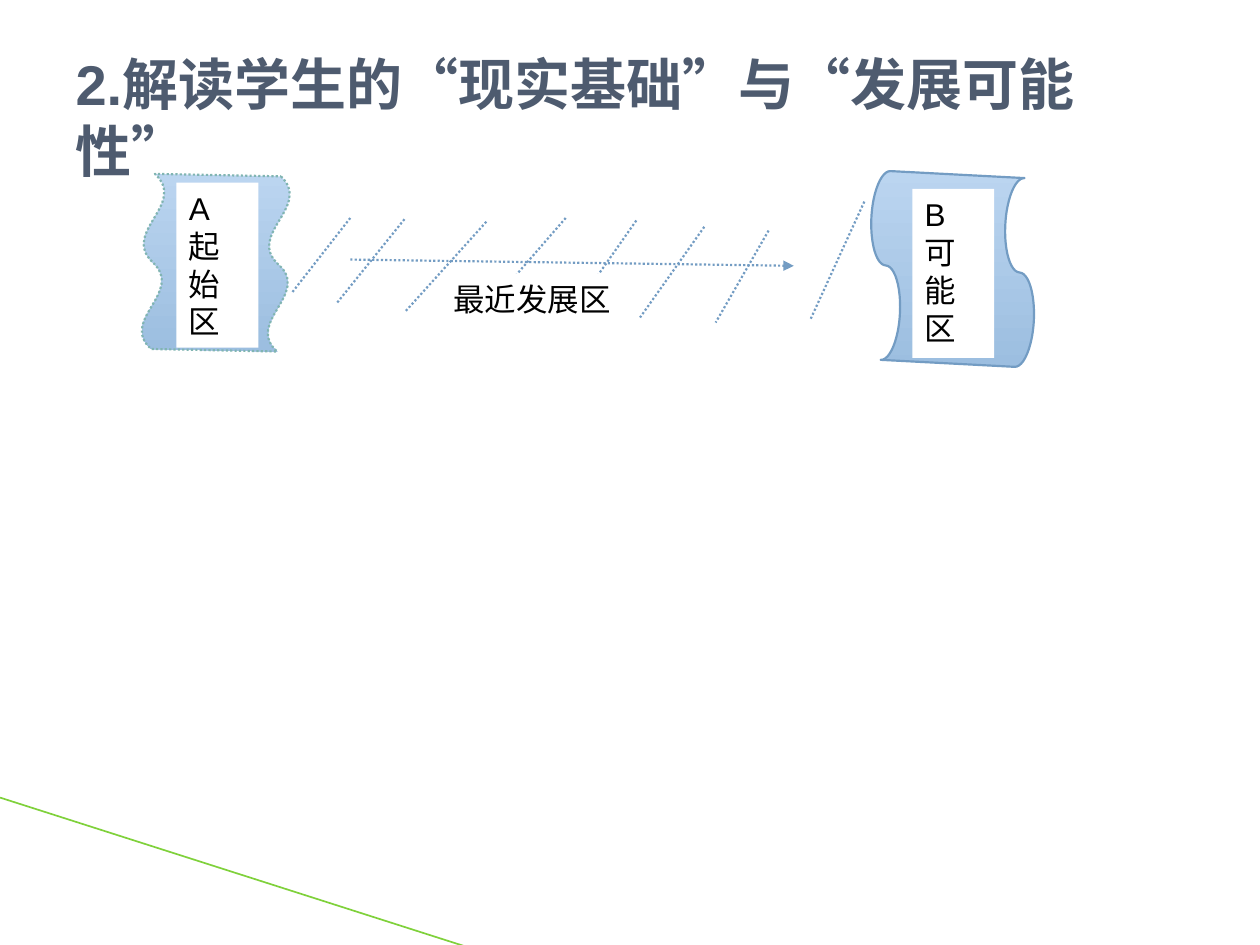
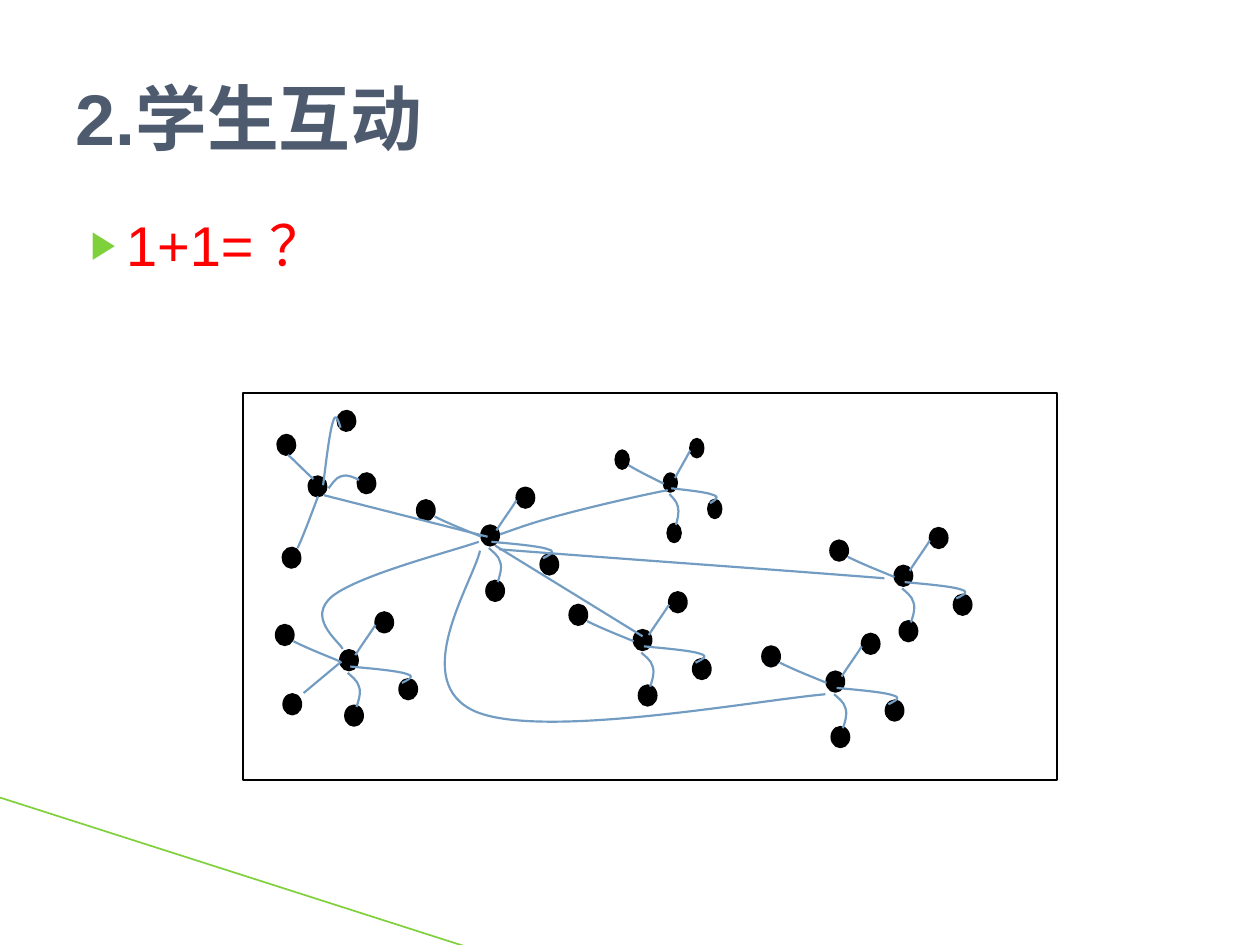
import math
from dataclasses import dataclass

from lxml import etree
from pptx import Presentation
from pptx import util as u
from pptx.dml.color import RGBColor
from pptx.enum import dml, shapes, text
from pptx.oxml.ns import qn

PX = 9144  # EMU in one px, 100 px to the inch


@dataclass(frozen=True)
class Theme:
    font: str = "Arial"
    title: str = "4E5B6F"
    ink: str = "000000"
    paper: str = "FFFFFF"
    accent: str = "7FD13B"
    stroke: str = "739CC3"
    wave_edge: str = "81B5B2"
    answer: str = "FF0000"
    tape: tuple = ("BBD5F0", "9CBEE0")
    body_size: int = 32
    label_size: int = 18
    thin: float = 0.75
    band: float = 0.96
    thick: float = 1.25


def emu(*lengths):
    return [round(length * PX) for length in lengths]


def trace(points, steps=24):
    """Sample chained cubic Béziers: a start, then two handles and an end each."""
    traced = [points[0]]
    for i in range(0, len(points) - 1, 3):
        for step in range(1, steps + 1):
            t = step / steps
            weights = ((1 - t) ** 3, 3 * t * (1 - t) ** 2, 3 * t * t * (1 - t), t ** 3)
            traced.append(tuple(sum(w * p[axis] for w, p in zip(weights, points[i:i + 4]))
                                for axis in (0, 1)))
    return traced


class Deck:
    def __init__(self, theme):
        self.theme = theme
        self.prs = Presentation()
        self.prs.slide_width, self.prs.slide_height = emu(1000, 750)
        self.slide = None

    def new_slide(self, layout, title, size):
        self.slide = self.prs.slides.add_slide(self.prs.slide_layouts[layout])
        heading = self.slide.shapes.title
        self.place(heading, 50, 30, 900, 125)
        frame = heading.text_frame
        frame.auto_size = text.MSO_AUTO_SIZE.NONE
        frame.vertical_anchor = text.MSO_ANCHOR.MIDDLE
        frame.paragraphs[0].alignment = text.PP_ALIGN.LEFT
        self.run(frame.paragraphs[0], title, size, self.theme.title, True)

    def master_band(self):
        """Draw the green line and move it to the master that all slides share."""
        band = self.line((0, 633), (372, 752), self.theme.accent, self.theme.band)
        self.prs.slide_master.shapes._spTree.append(band._element)

    def place(self, shape, *box):
        shape.left, shape.top, shape.width, shape.height = emu(*box)

    def run(self, paragraph, words, size, color, bold=False):
        run = paragraph.add_run()
        run.text = words
        run.font.name = self.theme.font
        run.font.size = u.Pt(size)
        run.font.bold = bold
        run.font.color.rgb = RGBColor.from_string(color)

    def bullet(self, words):
        body = self.slide.placeholders[1]
        self.place(body, 50, 162, 900, 495)
        body.text_frame.auto_size = text.MSO_AUTO_SIZE.NONE
        paragraph = body.text_frame.paragraphs[0]
        paragraph.space_before = u.Pt(0)
        props = paragraph._p.get_or_add_pPr()
        props.set("marL", str(40 * PX))
        props.set("indent", str(-28 * PX))
        color = etree.SubElement(props, qn("a:buClr"))
        etree.SubElement(color, qn("a:srgbClr"), val=self.theme.accent)
        etree.SubElement(props, qn("a:buSzPct"), val="68000")
        etree.SubElement(props, qn("a:buFont"), typeface=self.theme.font)
        etree.SubElement(props, qn("a:buChar"), char="▶")
        self.run(paragraph, words, self.theme.body_size, self.theme.answer)

    def outline(self, shape, color, width, dotted=False):
        shape.line.color.rgb = RGBColor.from_string(color)
        shape.line.width = u.Pt(width)
        if dotted:
            shape.line.dash_style = dml.MSO_LINE.ROUND_DOT

    def shape(self, kind, box, fill=None, edge=None, width=0):
        shape = self.slide.shapes.add_shape(kind, *emu(*box))
        shape.shadow.inherit = False
        if fill:
            shape.fill.solid()
            shape.fill.fore_color.rgb = RGBColor.from_string(fill)
        if edge:
            self.outline(shape, edge, width)
        else:
            shape.line.fill.background()
        return shape

    def shade(self, shape):
        """Fill from light at the top to dark, whatever the rotation."""
        shape.fill.gradient()
        shape.fill.gradient_angle = 270
        for stop, color in zip(shape.fill.gradient_stops, self.theme.tape):
            stop.color.rgb = RGBColor.from_string(color)
        shape._element.spPr.find(qn("a:gradFill")).set("rotWithShape", "0")

    def label(self, box, *lines):
        frame = self.shape(shapes.MSO_SHAPE.RECTANGLE, box, self.theme.paper).text_frame
        frame.word_wrap = True
        frame.vertical_anchor = text.MSO_ANCHOR.TOP
        for i, words in enumerate(lines):
            paragraph = frame.add_paragraph() if i else frame.paragraphs[0]
            paragraph.alignment = text.PP_ALIGN.LEFT
            self.run(paragraph, words, self.theme.label_size, self.theme.ink)

    def line(self, start, end, color=None, width=None, dotted=False, arrow=False):
        line = self.slide.shapes.add_connector(
            shapes.MSO_CONNECTOR.STRAIGHT, *emu(*start, *end))
        self.outline(line, color or self.theme.stroke, width or self.theme.thick, dotted)
        if arrow:
            etree.SubElement(line.line._get_or_add_ln(), qn("a:tailEnd"), type="triangle")
        etree.SubElement(line._element.spPr, qn("a:effectLst"))
        return line

    def freeform(self, *chains):
        """Draw chained Béziers; several chains are joined and closed."""
        closed = len(chains) > 1
        ends = [emu(*point) for chain in chains for point in chain[::3]]
        builder = self.slide.shapes.build_freeform(*ends[0])
        builder.add_line_segments(ends[1:], close=closed)
        shape = builder.convert_to_shape()
        shape.shadow.inherit = False

        xs, ys = zip(*(point for chain in chains for point in trace(chain)))
        left, top = min(xs), min(ys)
        width, height = max(xs) - left, max(ys) - top
        self.place(shape, left, top, width, height)
        outline = next(shape._element.iter(qn("a:path")))
        for key, length in zip("wh", emu(width, height)):
            outline.set(key, str(length))
        segments = outline.findall(qn("a:lnTo"))
        for chain in chains:
            for i in range(1, len(chain), 3):
                bend = etree.Element(qn("a:cubicBezTo"))
                for x, y in chain[i:i + 3]:
                    dx, dy = emu(x - left, y - top)
                    etree.SubElement(bend, qn("a:pt"), x=str(dx), y=str(dy))
                outline.replace(segments.pop(0), bend)
            segments = segments[1:]
        self.move_points(outline, ends, emu(left, top))
        return shape

    def move_points(self, outline, ends, origin):
        """Set the start and the straight joins from the outline's own corner."""
        points = {tag: outline.findall(qn(tag) + "/" + qn("a:pt"))
                  for tag in ("a:moveTo", "a:lnTo")}
        for point, end in zip(points["a:moveTo"] + points["a:lnTo"],
                              (ends[0], ends[len(ends) // 2])):
            for key, value, corner in zip("xy", end, origin):
                point.set(key, str(value - corner))

    def curve(self, points):
        if len(points) == 2:
            self.line(*points)
            return
        shape = self.freeform(points)
        shape.fill.background()
        self.outline(shape, self.theme.stroke, self.theme.thick)

    def dot(self, center, width=14, height=16, turn=0):
        box = (center[0] - width / 2, center[1] - height / 2, width, height)
        dot = self.shape(shapes.MSO_SHAPE.FLOWCHART_CONNECTOR, box,
                         self.theme.ink, self.theme.ink, self.theme.thick)
        dot.rotation = turn

    def cluster(self, hub, scale_x=1, scale_y=1, turn=0):
        """Draw a hub with four pupils around it, scaled and then turned."""
        cos, sin = math.cos(math.radians(turn)), math.sin(math.radians(turn))

        def spot(point):
            x, y = point[0] * scale_x, point[1] * scale_y
            return hub[0] + x * cos - y * sin, hub[1] + x * sin + y * cos

        for pupil in PUPILS:
            self.dot(spot(pupil), 14 * scale_x, 16 * scale_y, turn)
        for spoke in SPOKES:
            self.curve([spot(point) for point in spoke])


# Offsets from the hub of a cluster
PUPILS = [(0, 0), (-51, -20), (28, -30), (47, 23), (4, 44)]
SPOKES = [
    [(-7, 1), (-19, -4), (-32, -9), (-44, -15)],
    [(5, -4), (10, -12), (16, -20), (21, -28)],
    [(1, 5), (10, 6), (38, 8), (46, 11), (54, 13), (44, 17), (42, 18)],
    [(-1, 10), (1, 12), (7, 16), (8, 21), (10, 26), (7, 34), (6, 37)],
]
CLUSTERS = [
    ((389, 425),),
    ((532, 383), 0.75, 0.91),
    ((510, 508),),
    ((277, 524),),
    ((252, 386), 1.13, 0.88, 273),
    ((717, 457),),
    ((663, 541),),
]
LINKS = [
    [(397, 424), (406, 421), (421, 415), (448, 408), (474, 401), (514, 392), (530, 389)],
    [(393, 433), (510, 505)],
    [(271, 525), (241, 550)],
    [(380, 430), (357, 438), (286, 456), (264, 473), (243, 490), (268, 508), (272, 515)],
    [(387, 426), (257, 393)],
    [(396, 436), (498, 444), (600, 451), (702, 459)],
    [(381, 437), (375, 463), (323, 542), (378, 565), (432, 587), (599, 556), (655, 551)],
]
WAVE_RIGHT = [(223, 140), (248, 164), (195, 186), (221, 210),
              (247, 233), (194, 256), (220, 279)]
WAVE_LEFT = [(120, 277), (94, 254), (147, 232), (121, 208),
             (96, 184), (149, 162), (123, 138)]
HATCHES = [
    ((321, 174), (267, 241)), ((449, 173), (376, 257)),
    ((559, 180), (508, 252)), ((610, 183), (568, 256)),
    ((386, 176), (321, 248)), ((505, 175), (451, 252)),
    ((686, 160), (643, 254)), ((278, 173), (232, 232)),
]


def development_zone(deck):
    deck.new_slide(5, "2.解读学生的“现实基础”与“发展可能性”", 32)
    deck.master_band()
    wave = deck.freeform(WAVE_RIGHT, WAVE_LEFT)
    deck.shade(wave)
    deck.outline(wave, deck.theme.wave_edge, deck.theme.thick, dotted=True)
    deck.label((140, 145, 65, 131), "A", "起始区")

    tape = deck.shape(shapes.MSO_SHAPE.FLOWCHART_PUNCHED_TAPE, (681, 147, 150, 133),
                      edge=deck.theme.stroke, width=deck.theme.thick)
    tape.rotation = 93
    deck.shade(tape)
    deck.label((724, 150, 65, 134), "B", "可能区")

    deck.line((278, 206), (630, 211), dotted=True, arrow=True)
    for top, bottom in HATCHES:
        deck.line(top, bottom, dotted=True)
    deck.label((350, 217, 152, 51), "最近发展区")


def pupil_interaction(deck):
    deck.new_slide(1, "2.学生互动", 41)
    deck.bullet("1+1= ？")
    deck.shape(shapes.MSO_SHAPE.RECTANGLE, (193, 312, 646, 307),
               deck.theme.paper, deck.theme.ink, deck.theme.thin)
    for cluster in CLUSTERS:
        deck.cluster(*cluster)
    deck.dot((232, 559))
    for link in LINKS:
        deck.curve(link)


def main():
    deck = Deck(Theme())
    development_zone(deck)
    pupil_interaction(deck)
    deck.prs.save("out.pptx")


if __name__ == "__main__":
    main()
